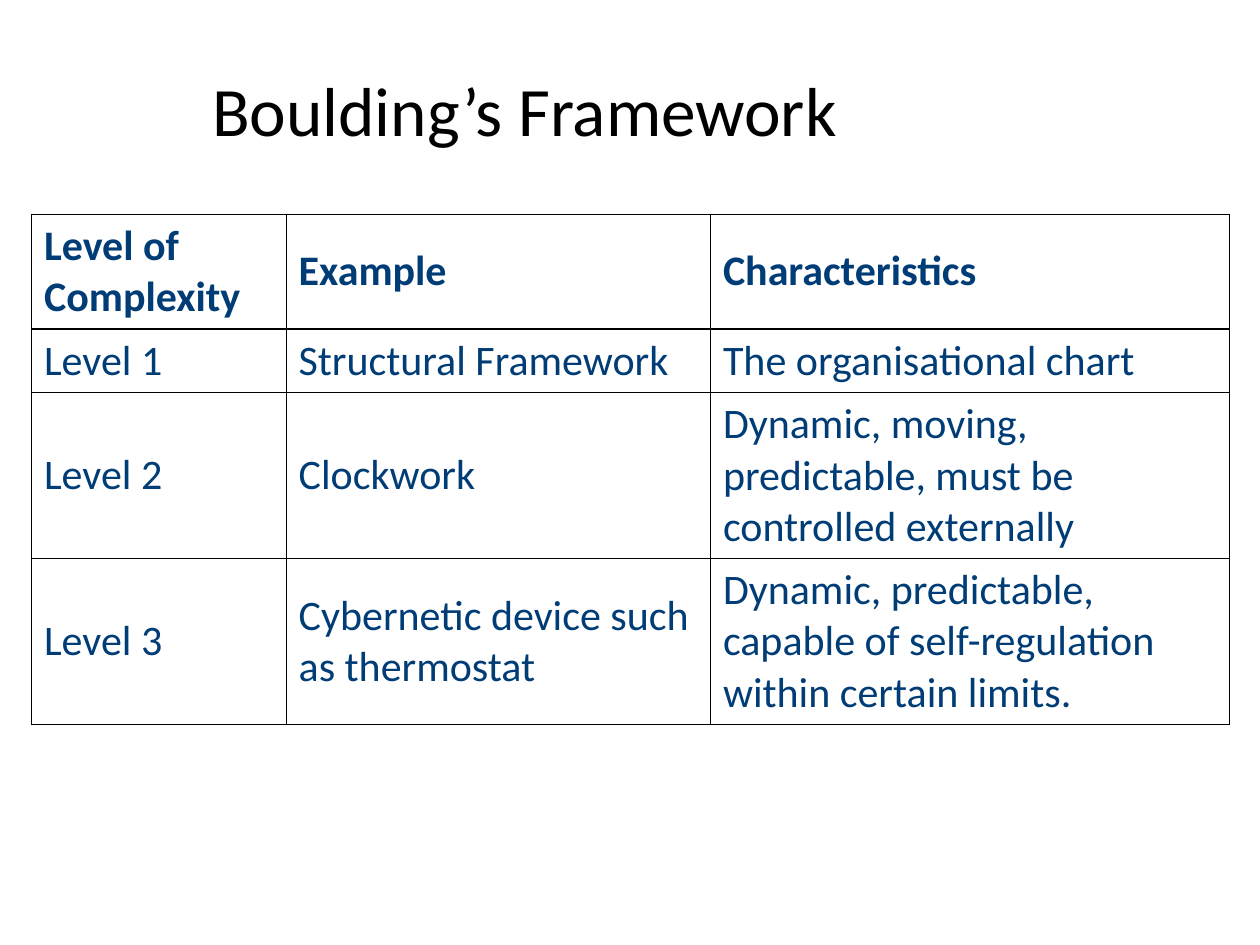
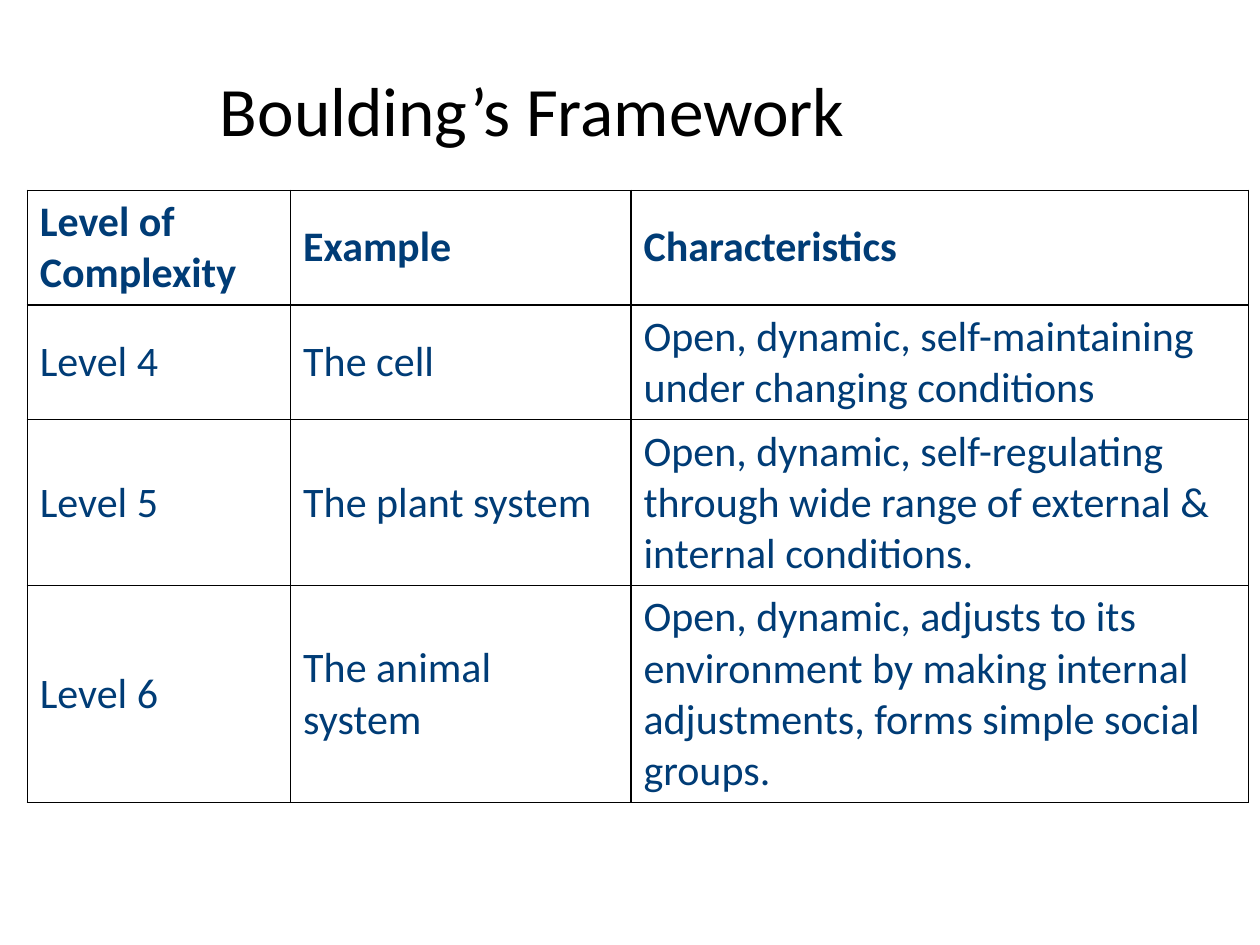
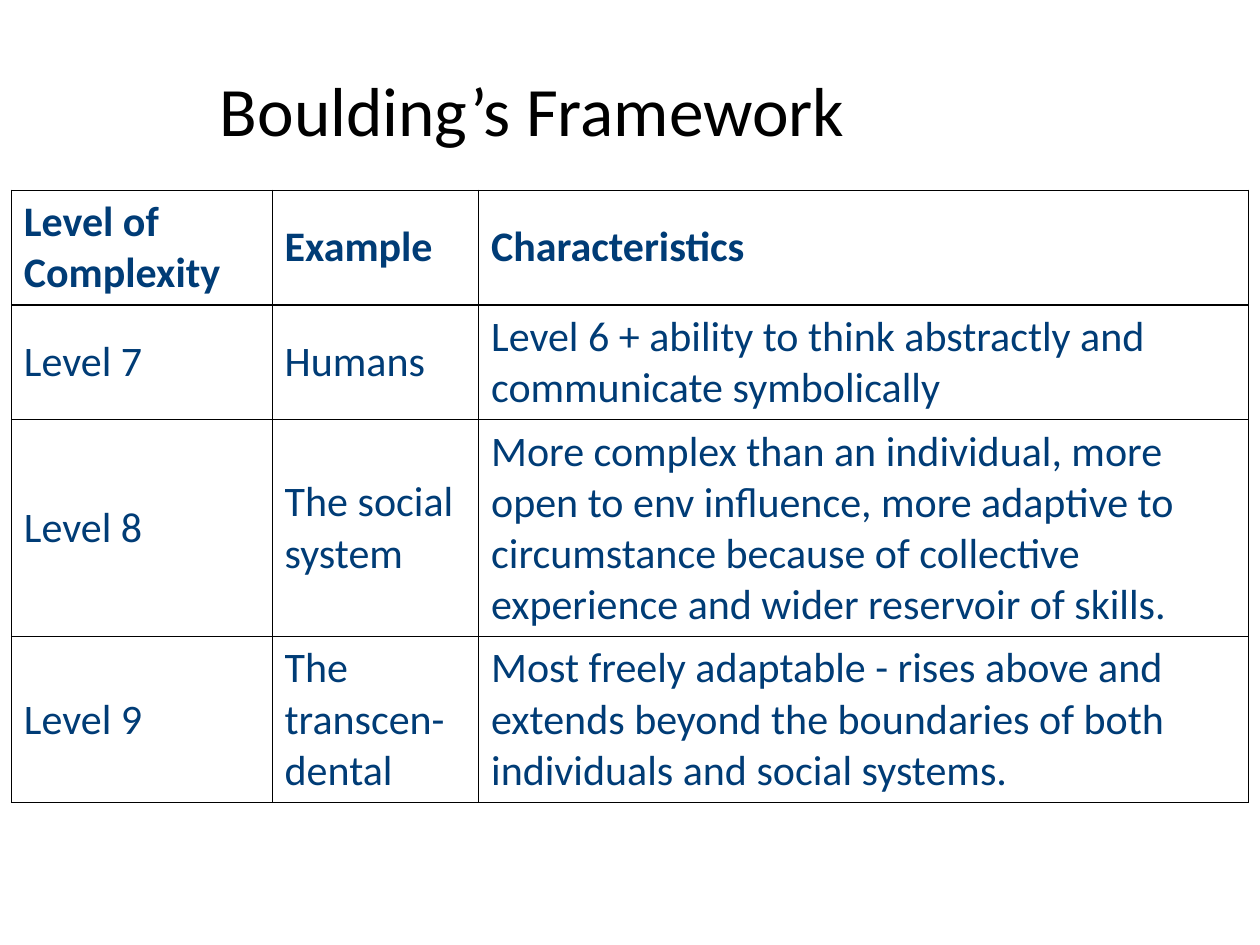
from lxml import etree
from pptx import Presentation
from pptx.dml.color import RGBColor
from pptx.enum import text
from pptx.oxml import ns
from pptx.util import Pt

COLORS = {"title": "000000", "cell": "003C76", "border": "000000"}
FONT = "Calibri"
LINE_HEIGHT, CELL_PADDING = 29.2, 7.2
HEADER = ("Level of Complexity", "Example", "Characteristics")

# Each slide: title, table left and top, column widths, text lines per row, rows
SLIDES = [
    ("Boulding’s Framework ", 18, 122.4, (145.5, 242.5, 296.5), (2, 1, 3, 3), [
        ("Level 1", "Structural Framework", "The organisational chart"),
        ("Level 2", "Clockwork",
         "Dynamic, moving, predictable, must be controlled externally"),
        ("Level 3", "Cybernetic device such as thermostat",
         "Dynamic, predictable, capable of self-regulation within certain limits."),
    ]),
    ("Boulding’s Framework", 15.6, 108.7, (150.5, 194.5, 353), (2, 2, 3, 4), [
        ("Level 4", "The cell",
         "Open, dynamic, self-maintaining under changing conditions"),
        ("Level 5", "The plant system",
         "Open, dynamic, self-regulating through wide range of external & "
         "internal conditions."),
        ("Level 6", "The animal system",
         "Open, dynamic, adjusts to its environment by making internal "
         "adjustments, forms simple social groups."),
    ]),
    ("Boulding’s Framework", 6.5, 108.7, (149, 118, 440), (2, 2, 4, 3), [
        ("Level 7", "Humans",
         "Level 6 + ability to think abstractly and communicate symbolically"),
        ("Level 8", "The social system",
         "More complex than an individual, more open to env influence, more "
         "adaptive to circumstance because of collective experience and wider "
         "reservoir of skills."),
        ("Level 9", "The transcen-dental",
         "Most freely adaptable - rises above and extends beyond the boundaries "
         "of both individuals and social systems."),
    ]),
]


def style(p, size, color, bold=False):
    p.font.name = FONT
    p.font.size = Pt(size)
    p.font.bold = bold
    p.font.color.rgb = RGBColor.from_string(COLORS[color])


def add_borders(cell):
    tc_pr = cell._tc.get_or_add_tcPr()
    for side in ("lnL", "lnR", "lnT", "lnB"):
        ln = etree.SubElement(tc_pr, ns.qn(f"a:{side}"), w=str(Pt(0.75)))
        fill = etree.SubElement(ln, ns.qn("a:solidFill"))
        etree.SubElement(fill, ns.qn("a:srgbClr"), val=COLORS["border"])


prs = Presentation()
prs.slide_width, prs.slide_height = Pt(720), Pt(540)

for title, left, top, widths, line_counts, levels in SLIDES:
    s = prs.slides.add_slide(prs.slide_layouts[6])

    # Title
    tf = s.shapes.add_textbox(Pt(34), Pt(34.5), Pt(540.5), Pt(55.5)).text_frame
    tf.word_wrap = True
    tf.vertical_anchor = text.MSO_ANCHOR.MIDDLE
    p = tf.paragraphs[0]
    p.text = title
    p.alignment = text.PP_ALIGN.CENTER
    style(p, 39.6, "title")

    # Table sized by its columns and by the lines of text in each row
    heights = [CELL_PADDING + LINE_HEIGHT * n for n in line_counts]
    rows = [HEADER, *levels]
    table = s.shapes.add_table(len(rows), len(HEADER), Pt(left), Pt(top),
                               Pt(sum(widths)), Pt(sum(heights))).table
    table.horz_banding = False
    for column, width in zip(table.columns, widths):
        column.width = Pt(width)
    for i, (row, height) in enumerate(zip(rows, heights)):
        table.rows[i].height = Pt(height)
        for j, value in enumerate(row):
            cell = table.cell(i, j)
            add_borders(cell)
            cell.fill.background()
            cell.vertical_anchor = text.MSO_ANCHOR.MIDDLE
            cell.text = value
            style(cell.text_frame.paragraphs[0], 24, "cell", bold=i == 0)

prs.save("out.pptx")
